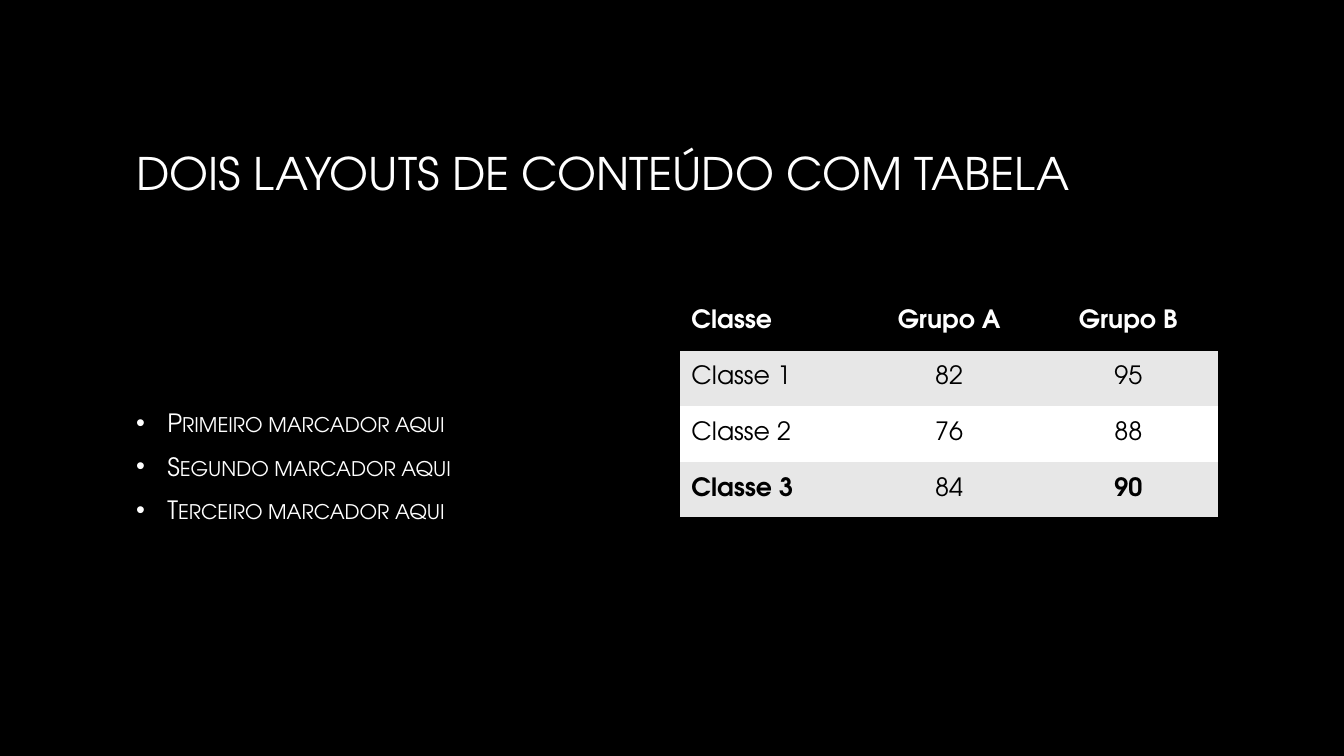
from dataclasses import dataclass

from lxml.etree import SubElement
from pptx import Presentation
from pptx.dml.color import RGBColor as RGB
from pptx.enum.text import MSO_ANCHOR as ANCHOR, MSO_AUTO_SIZE as AUTO, PP_ALIGN as ALIGN
from pptx.oxml.ns import qn
from pptx.util import Emu, Inches, Pt


@dataclass(frozen=True)
class Theme:
    font: str = "TeX Gyre Adventor"
    black: str = "000000"
    white: str = "FFFFFF"
    band: str = "E7E7E7"
    title_fade: tuple[str, str] = ("FFFFFF", "A6A6A6")
    body_fade: tuple[str, str] = ("FFFFFF", "BFBFBF")
    fade_angle: int = 267
    title_size: int = 32
    text_size: int = 18
    border: int = 2
    plain_table: str = "{2D5ABB26-0587-4C30-8999-92F81FD0307C}"


@dataclass(frozen=True)
class Box:
    """Left, top, width and height in grid columns and rows."""
    col: float
    row: float
    cols: float
    rows: float


@dataclass(frozen=True)
class Row:
    texts: tuple[str, ...]
    fill: str
    color: str = "000000"
    bold: tuple[int, ...] = ()
    borders: tuple[str, ...] = ()


T = Theme()
COLS, ROWS = 160, 90
TITLE = Box(15, 8, 130, 25)
BODY = Box(15, 35, 64, 41)
TABLE = Box(81, 35, 64, 26.67)

BULLETS = ("Primeiro marcador aqui", "Segundo marcador aqui", "Terceiro marcador aqui")
TABLE_ROWS = (
    Row(("Classe", "Grupo A", "Grupo B"), T.black, T.white, (0, 1, 2), ("a:lnT", "a:lnB")),
    Row(("Classe 1", "82", "95"), T.band),
    Row(("Classe 2", "76", "88"), T.white),
    Row(("Classe 3", "84", "90"), T.band, bold=(0, 2), borders=("a:lnB",)),
)

prs = Presentation()
prs.slide_width, prs.slide_height = Inches(13.33), Inches(7.5)


def place(box: Box) -> tuple[Emu, Emu, Emu, Emu]:
    x, y = prs.slide_width / COLS, prs.slide_height / ROWS
    return Emu(int(box.col * x)), Emu(int(box.row * y)), Emu(int(box.cols * x)), Emu(int(box.rows * y))


def write(p, text: str, *, size: int = T.text_size, color: str = T.white, bold: bool = False,
          fade: tuple[str, str] | None = None, small_caps: bool = False, align=ALIGN.LEFT) -> None:
    p.alignment = align
    r = p.add_run()
    r.text = text
    f = r.font
    f.name, f.size, f.bold = T.font, Pt(size), bold
    if fade:
        f.fill.gradient()
        f.fill.gradient_angle = T.fade_angle
        for stop, shade in zip(f.fill.gradient_stops, fade):
            stop.color.rgb = RGB.from_string(shade)
    else:
        f.color.rgb = RGB.from_string(color)
    if small_caps:
        r._r.get_or_add_rPr().set("cap", "small")


def set_bullet(p) -> None:
    pPr = p._p.get_or_add_pPr()
    pPr.set("marL", str(Inches(0.31)))
    pPr.set("indent", str(-Inches(0.31)))
    SubElement(SubElement(pPr, qn("a:buClr")), qn("a:srgbClr"), val=T.white)
    SubElement(pPr, qn("a:buFont"), typeface="Arial")
    SubElement(pPr, qn("a:buChar"), char="•")


def set_border(cell, side: str) -> None:
    ln = SubElement(cell._tc.get_or_add_tcPr(), qn(side), w=str(Pt(T.border)))
    SubElement(SubElement(ln, qn("a:solidFill")), qn("a:srgbClr"), val=T.black)


def prepare(sp, box: Box):
    sp.left, sp.top, sp.width, sp.height = place(box)
    tf = sp.text_frame
    tf.word_wrap, tf.auto_size, tf.vertical_anchor = True, AUTO.NONE, ANCHOR.MIDDLE
    return tf


def add_bullets(sp, box: Box, items: tuple[str, ...]) -> None:
    tf = prepare(sp, box)
    for i, item in enumerate(items):
        p = tf.add_paragraph() if i else tf.paragraphs[0]
        set_bullet(p)
        p.space_before, p.space_after = Pt(3.6 if i else 0), Pt(6)
        write(p, item, fade=T.body_fade, small_caps=True)


def add_grades(s, box: Box, rows: tuple[Row, ...]) -> None:
    table = s.shapes.add_table(len(rows), len(rows[0].texts), *place(box)).table
    table.first_row = table.horz_banding = False
    table._tbl.tblPr.find(qn("a:tableStyleId")).text = T.plain_table
    for i, row in enumerate(rows):
        for j, text in enumerate(row.texts):
            cell = table.cell(i, j)
            cell.vertical_anchor = ANCHOR.MIDDLE
            cell.margin_left = cell.margin_right = Inches(0.11)
            for side in row.borders:
                set_border(cell, side)
            cell.fill.solid()
            cell.fill.fore_color.rgb = RGB.from_string(row.fill)
            write(cell.text_frame.paragraphs[0], text, color=row.color, bold=j in row.bold,
                  align=ALIGN.CENTER if j else ALIGN.LEFT)


def main() -> None:
    # Slide and background
    s = prs.slides.add_slide(prs.slide_layouts[1])
    s.background.fill.solid()
    s.background.fill.fore_color.rgb = RGB.from_string(T.black)

    # Title
    tf = prepare(s.shapes.title, TITLE)
    write(tf.paragraphs[0], "DOIS LAYOUTS DE CONTEÚDO COM TABELA", size=T.title_size, fade=T.title_fade)

    # Bullet list and table
    add_bullets(s.placeholders[1], BODY, BULLETS)
    add_grades(s, TABLE, TABLE_ROWS)
    prs.save("out.pptx")


if __name__ == "__main__":
    main()
